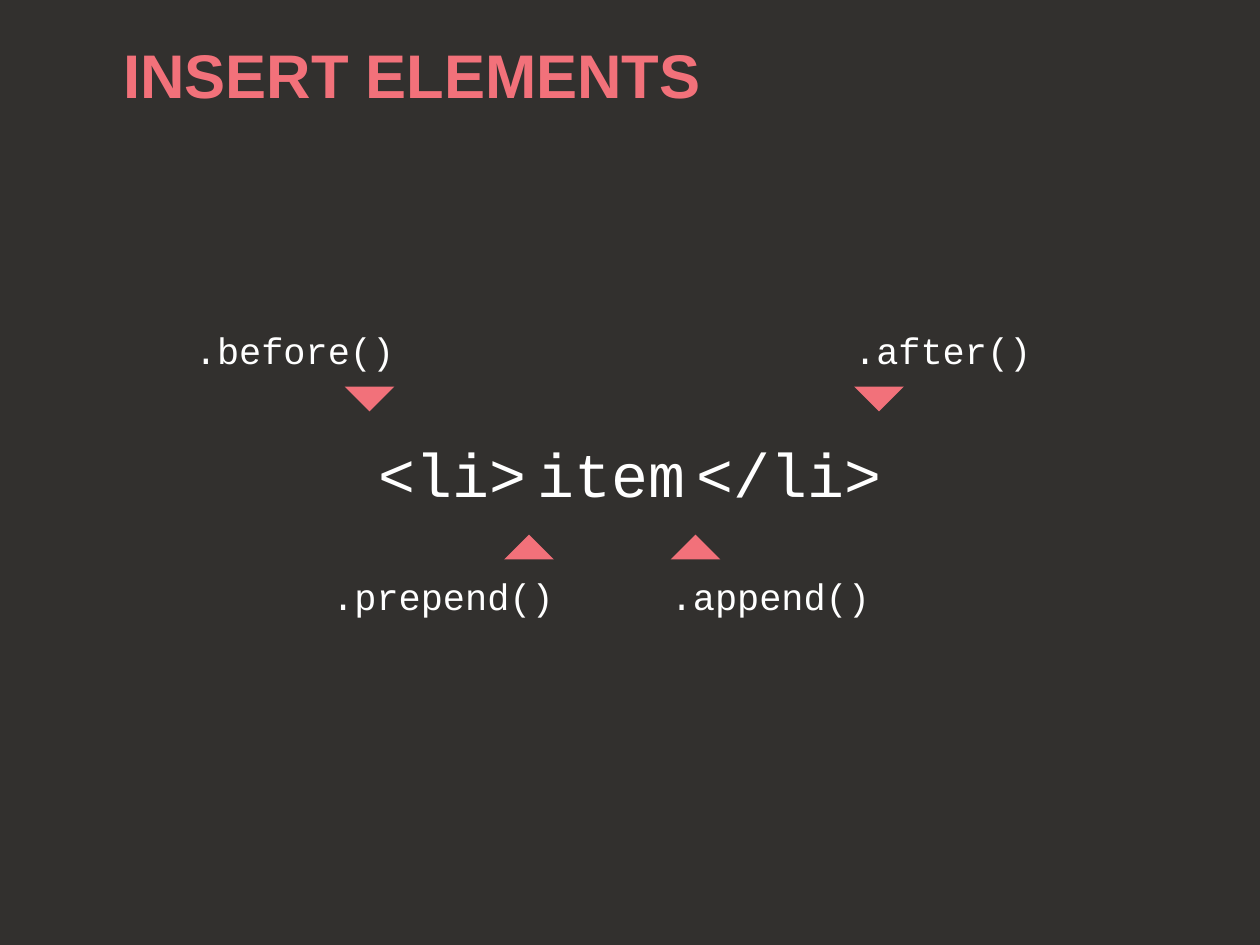
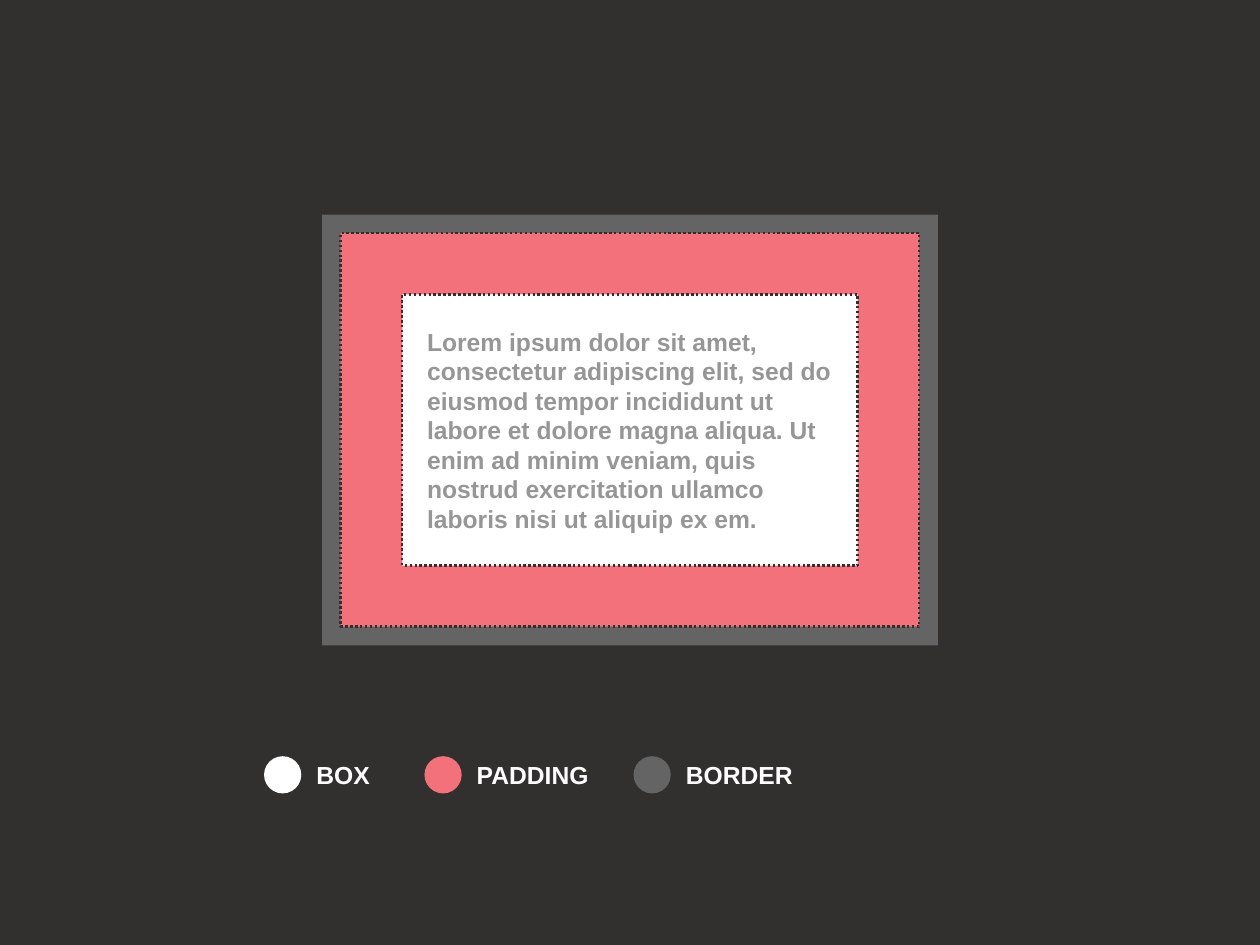
from typing import NamedTuple

from pptx import Presentation
from pptx.dml.color import RGBColor
from pptx.enum.dml import MSO_LINE
from pptx.enum.shapes import MSO_SHAPE
from pptx.enum.text import MSO_ANCHOR as Anchor, PP_ALIGN as Align
from pptx.shapes.autoshape import Shape
from pptx.slide import Slide
from pptx.util import Inches, Pt

DARK = RGBColor(0x32, 0x30, 0x2E)
CORAL = RGBColor(0xF2, 0x71, 0x7A)
GRAY = RGBColor(0x64, 0x64, 0x64)
LIGHT_GRAY = RGBColor(0x96, 0x96, 0x96)
WHITE = RGBColor(0xFF, 0xFF, 0xFF)

SANS = "Arial"
MONO = "Courier New"

SLIDE_WIDTH, SLIDE_HEIGHT = 14.22, 10.66
MARGIN = 1.39

METHOD_WIDTH, METHOD_HEIGHT = 4.17, 0.69
ARROW_WIDTH, ARROW_HEIGHT = 0.56, 0.28

BOX_CENTER_X, BOX_CENTER_Y = SLIDE_WIDTH / 2, 4.85
BOX_PADDING = 0.28

LEGEND_TOP, DOT_SIZE, DOT_GAP = 8.53, 0.42, 0.17

LOREM = (
    "Lorem ipsum dolor sit amet, consectetur adipiscing elit, sed do eiusmod "
    "tempor incididunt ut labore et dolore magna aliqua. Ut enim ad minim veniam, "
    "quis nostrud exercitation ullamco laboris nisi ut aliquip ex em."
)


class Run(NamedTuple):
    text: str
    size: float


class Method(NamedTuple):
    name: str
    edge: float
    above: bool
    align: Align


class Layer(NamedTuple):
    width: float
    height: float
    color: RGBColor
    dotted: bool


class LegendItem(NamedTuple):
    label: str
    left: float
    label_width: float
    color: RGBColor


METHODS = [
    Method(".before()", 4.45, True, Align.RIGHT),
    Method(".prepend()", 6.25, False, Align.RIGHT),
    Method(".after()", 9.64, True, Align.LEFT),
    Method(".append()", 7.57, False, Align.LEFT),
]

LAYERS = [
    Layer(6.95, 4.86, GRAY, False),
    Layer(6.53, 4.44, CORAL, True),
    Layer(5.14, 3.06, WHITE, True),
]

LEGEND = [
    LegendItem("BOX", 2.98, 0.69, WHITE),
    LegendItem("PADDING", 4.79, 1.39, CORAL),
    LegendItem("BORDER", 7.15, 1.39, GRAY),
]


def write_text(
    shape: Shape,
    runs: list[Run],
    *,
    font: str = SANS,
    color: RGBColor = WHITE,
    bold: bool = False,
    align: Align = Align.LEFT,
    anchor: Anchor = Anchor.MIDDLE,
    inset: float = 0,
) -> None:
    frame = shape.text_frame
    frame.word_wrap = True
    frame.vertical_anchor = anchor
    frame.margin_left = frame.margin_right = Inches(inset)
    frame.margin_top = frame.margin_bottom = Inches(inset)
    paragraph = frame.paragraphs[0]
    paragraph.alignment = align
    for text, size in runs:
        run = paragraph.add_run()
        run.text = text
        run.font.name = font
        run.font.size = Pt(size)
        run.font.bold = bold
        run.font.color.rgb = color


def add_text_box(
    slide: Slide, left: float, top: float, width: float, height: float
) -> Shape:
    return slide.shapes.add_textbox(
        Inches(left), Inches(top), Inches(width), Inches(height)
    )


def add_filled_shape(
    slide: Slide,
    preset: MSO_SHAPE,
    left: float,
    top: float,
    width: float,
    height: float,
    color: RGBColor,
) -> Shape:
    shape = slide.shapes.add_shape(
        preset, Inches(left), Inches(top), Inches(width), Inches(height)
    )
    shape.shadow.inherit = False
    shape.fill.solid()
    shape.fill.fore_color.rgb = color
    shape.line.fill.background()
    return shape


def add_title(slide: Slide, text: str) -> None:
    box = add_text_box(slide, 0, 0, SLIDE_WIDTH, SLIDE_HEIGHT)
    write_text(
        box, [Run(text, 50)], color=CORAL, bold=True, anchor=Anchor.TOP, inset=MARGIN
    )


def add_method(slide: Slide, method: Method) -> None:
    ends_at_edge = method.align == Align.RIGHT
    label_left = method.edge - METHOD_WIDTH if ends_at_edge else method.edge
    arrow_left = method.edge - ARROW_WIDTH if ends_at_edge else method.edge
    label_top, arrow_top = (3.6, 4.36) if method.above else (6.37, 6.03)
    label = add_text_box(slide, label_left, label_top, METHOD_WIDTH, METHOD_HEIGHT)
    write_text(label, [Run(method.name, 30)], font=MONO, align=method.align)
    arrow = add_filled_shape(
        slide,
        MSO_SHAPE.ISOSCELES_TRIANGLE,
        arrow_left,
        arrow_top,
        ARROW_WIDTH,
        ARROW_HEIGHT,
        CORAL,
    )
    arrow.rotation = 180 if method.above else 0


def add_layer(slide: Slide, layer: Layer) -> Shape:
    shape = add_filled_shape(
        slide,
        MSO_SHAPE.RECTANGLE,
        BOX_CENTER_X - layer.width / 2,
        BOX_CENTER_Y - layer.height / 2,
        layer.width,
        layer.height,
        layer.color,
    )
    if layer.dotted:
        shape.line.color.rgb = DARK
        shape.line.width = Pt(2)
        shape.line.dash_style = MSO_LINE.ROUND_DOT
    return shape


def add_legend_item(slide: Slide, item: LegendItem) -> None:
    add_filled_shape(
        slide, MSO_SHAPE.OVAL, item.left, LEGEND_TOP, DOT_SIZE, DOT_SIZE, item.color
    )
    label_left = item.left + DOT_SIZE + DOT_GAP
    label = add_text_box(slide, label_left, LEGEND_TOP, item.label_width, DOT_SIZE)
    write_text(label, [Run(item.label, 20)], bold=True)


def build_insert_slide(slide: Slide) -> None:
    element = add_text_box(slide, 0, 0, SLIDE_WIDTH, SLIDE_HEIGHT)
    gap = Run(" ", 15)
    runs = [Run("<li>", 50), gap, Run("item", 50), gap, Run("</li>", 50)]
    write_text(element, runs, font=MONO, align=Align.CENTER)
    for method in METHODS:
        add_method(slide, method)
    add_title(slide, "INSERT ELEMENTS")


def build_box_model_slide(slide: Slide) -> None:
    _, _, content = [add_layer(slide, layer) for layer in LAYERS]
    write_text(
        content, [Run(LOREM, 20)], color=LIGHT_GRAY, bold=True, inset=BOX_PADDING
    )
    for item in LEGEND:
        add_legend_item(slide, item)


def main() -> None:
    presentation = Presentation()
    presentation.slide_width = Inches(SLIDE_WIDTH)
    presentation.slide_height = Inches(SLIDE_HEIGHT)
    background = presentation.slide_master.background.fill
    background.solid()
    background.fore_color.rgb = DARK
    blank = presentation.slide_layouts[6]
    for build in (build_insert_slide, build_box_model_slide):
        build(presentation.slides.add_slide(blank))
    presentation.save("out.pptx")


if __name__ == "__main__":
    main()
